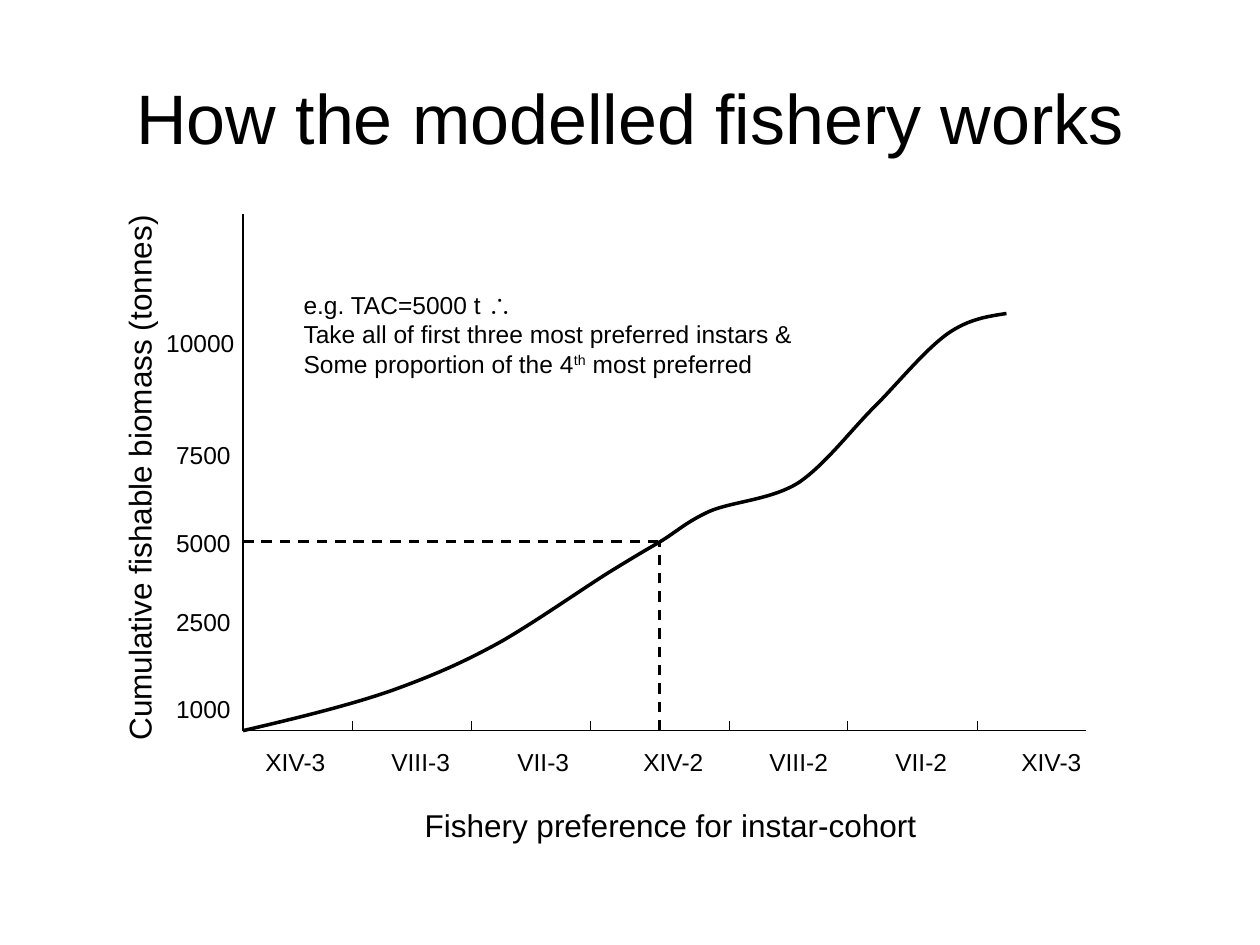
from lxml.etree import SubElement
from pptx import Presentation
from pptx.dml.color import RGBColor
from pptx.enum.dml import MSO_LINE
from pptx.enum.shapes import MSO_CONNECTOR
from pptx.enum.text import MSO_ANCHOR, MSO_AUTO_SIZE, PP_ALIGN
from pptx.oxml.ns import qn
from pptx.util import Cm, Pt

THEME = {
    "font": "Arial", "ink": RGBColor(0, 0, 0), "paper": RGBColor(255, 255, 255),
    "title": 40, "axis_title": 18, "label": 14,
    "axis": 0.75, "guide": 1.5, "curve": 2,
}

TITLE = "How the modelled fishery works"
X_TITLE = "Fishery preference for instar-cohort"
Y_TITLE = "Cumulative fishable biomass (tonnes)"
COHORTS = ["XIV-3", "VIII-3", "VII-3", "XIV-2", "VIII-2", "VII-2", "XIV-3"]
BIOMASS = [("1000", 13.87), ("2500", 12.12), ("5000", 10.52), ("7500", 8.74), ("10000", 6.48)]
NOTE = [
    [("e.g. TAC=5000 t ∴", False)],
    [("Take all of first three most preferred instars &", False)],
    [("Some proportion of the 4", False), ("th", True), (" most preferred", False)],
]

ORIGIN_X, ORIGIN_Y = 4.9, 14.73
AXIS_TOP, AXIS_RIGHT = 4.32, 21.89
TICKS = [7.11, 9.5, 11.91, 14.71, 17.09, 19.71]
TICK_LENGTH = 0.2
TAC_X, TAC_Y = 13.3, 10.92
TAB_STEP = 2.54
CURVE = [
    ((5.97, 14.48), (7.04, 14.22), (7.9, 13.92)),
    ((8.76, 13.61), (9.37, 13.34), (10.11, 12.93)),
    ((10.82, 12.52), (11.76, 11.86), (12.29, 11.53)),
    ((12.83, 11.2), (12.95, 11.13), (13.31, 10.92)),
    ((13.64, 10.72), (13.84, 10.52), (14.3, 10.31)),
    ((14.76, 10.11), (15.54, 10.08), (16.1, 9.73)),
    ((16.66, 9.35), (17.2, 8.61), (17.7, 8.13)),
    ((18.19, 7.62), (18.67, 7.04), (19.1, 6.73)),
    ((19.53, 6.43), (19.91, 6.38), (20.29, 6.32)),
]


def add_span(para, text, size, raised=False):
    span = para.add_run()
    span.text = text
    span.font.name = THEME["font"]
    span.font.size = Pt(size)
    span.font.color.rgb = THEME["ink"]
    if raised:
        span._r.get_or_add_rPr().set("baseline", "30000")


def add_text(page, area, paragraphs, size):
    box = page.shapes.add_textbox(*map(Cm, area))
    frame = box.text_frame
    frame.word_wrap = False
    frame.auto_size = MSO_AUTO_SIZE.SHAPE_TO_FIT_TEXT
    for index, spans in enumerate(paragraphs):
        para = frame.add_paragraph() if index else frame.paragraphs[0]
        for text, raised in spans:
            add_span(para, text, size, raised)
    return box


def set_line(shape, width):
    shape.line.color.rgb = THEME["ink"]
    shape.line.width = Pt(width)


def add_line(page, start, end, width, dash=None):
    line = page.shapes.add_connector(MSO_CONNECTOR.STRAIGHT, *map(Cm, (*start, *end)))
    set_line(line, width)
    if dash:
        line.line.dash_style = dash
    SubElement(line._element.spPr, qn("a:effectLst"))


def add_curve(page):
    points = [(Cm(x), Cm(y)) for segment in CURVE for x, y in segment]
    builder = page.shapes.build_freeform(Cm(ORIGIN_X), Cm(ORIGIN_Y))
    builder.add_line_segments(points, close=False)
    curve = builder.convert_to_shape()
    curve.shadow.inherit = False
    curve.fill.background()
    set_line(curve, THEME["curve"])
    outline = curve._element.xpath(".//a:path")[0]
    steps = outline.findall(qn("a:lnTo"))
    for first in range(0, len(steps), 3):
        bezier = SubElement(outline, qn("a:cubicBezTo"))
        for step in steps[first:first + 3]:
            bezier.append(step[0])
            outline.remove(step)


def add_title(page):
    title = page.shapes.title
    title.left, title.top, title.width, title.height = map(Cm, (1.27, 0.76, 22.86, 3.18))
    frame = title.text_frame
    frame.auto_size = MSO_AUTO_SIZE.NONE
    frame.vertical_anchor = MSO_ANCHOR.MIDDLE
    para = frame.paragraphs[0]
    para.alignment = PP_ALIGN.CENTER
    add_span(para, TITLE, THEME["title"])


def add_axes(page):
    origin = (ORIGIN_X, ORIGIN_Y)
    add_line(page, (ORIGIN_X, AXIS_TOP), origin, THEME["axis"])
    add_line(page, origin, (AXIS_RIGHT, ORIGIN_Y), THEME["axis"])
    for x in TICKS:
        add_line(page, (x, ORIGIN_Y - TICK_LENGTH), (x, ORIGIN_Y), THEME["axis"])


def add_labels(page):
    add_text(page, (8.31, 16.12, 10.7, 1.02), [[(X_TITLE, False)]], THEME["axis_title"])
    y_title = add_text(page, (-2.79, 9.07, 11.2, 1.02), [[(Y_TITLE, False)]], THEME["axis_title"])
    y_title.rotation = 270
    cohorts = add_text(page, (5.1, 14.94, 17.1, 0.86), [[("\t".join(COHORTS), False)]], THEME["label"])
    tabs = SubElement(cohorts.text_frame.paragraphs[0]._p.get_or_add_pPr(), qn("a:tabLst"))
    for index in range(1, len(COHORTS)):
        SubElement(tabs, qn("a:tab"), pos=str(Cm(index * TAB_STEP)), algn="l")
    for text, top in BIOMASS:
        left, width = (3.1, 2) if len(text) > 4 else (3.3, 1.75)
        add_text(page, (left, top, width, 0.86), [[(text, False)]], THEME["label"])
    add_text(page, (5.87, 5.72, 10.6, 2.03), NOTE, THEME["label"])


def main():
    deck = Presentation()
    deck.slide_width, deck.slide_height = Cm(25.4), Cm(19.05)
    page = deck.slides.add_slide(deck.slide_layouts[5])
    page.background.fill.solid()
    page.background.fill.fore_color.rgb = THEME["paper"]
    add_title(page)
    add_axes(page)
    add_curve(page)
    for start in ((ORIGIN_X, TAC_Y), (TAC_X, ORIGIN_Y)):
        add_line(page, start, (TAC_X, TAC_Y), THEME["guide"], MSO_LINE.DASH)
    add_labels(page)
    deck.save("out.pptx")


if __name__ == "__main__":
    main()
